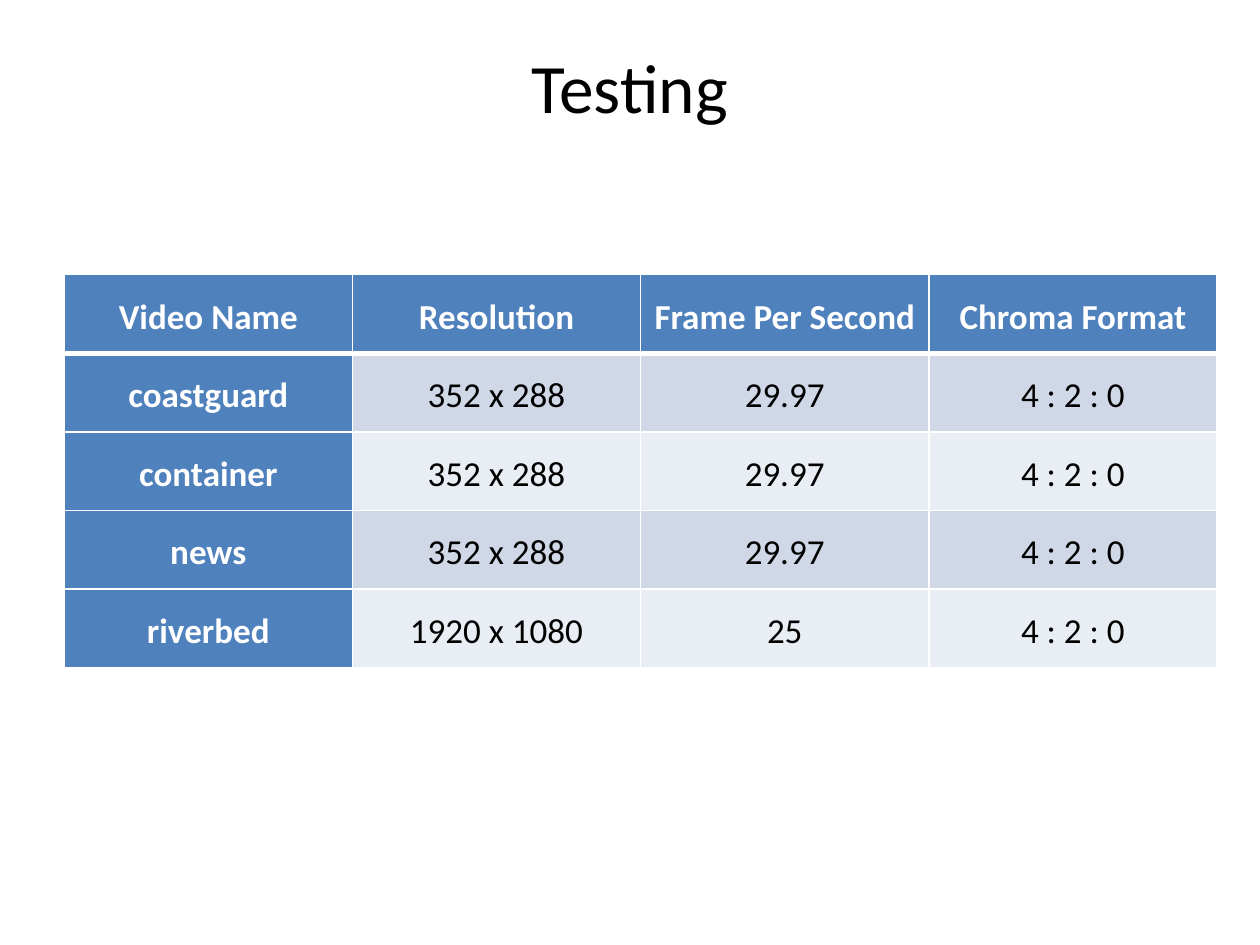
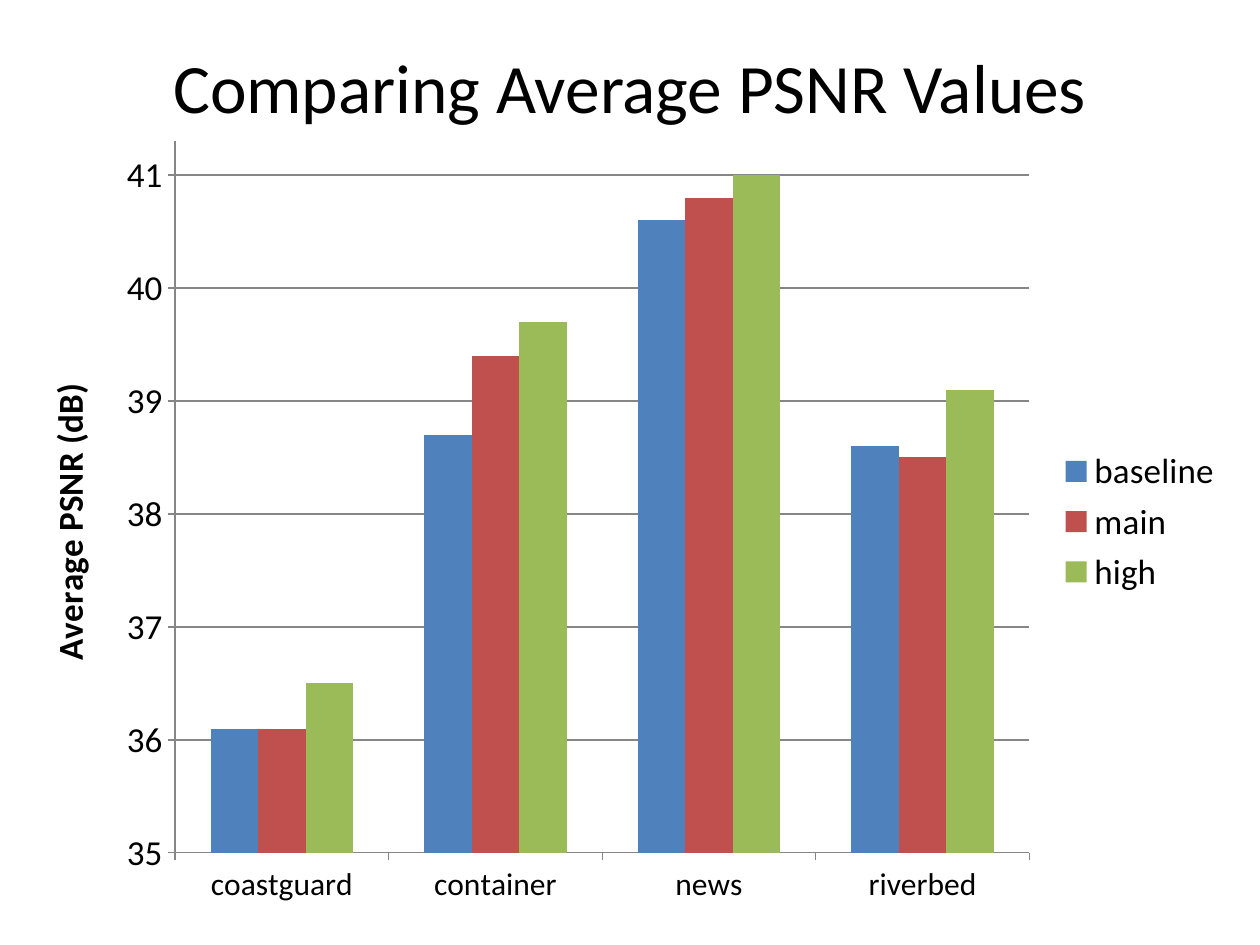
"""Builds two slides on video tests: the test clips and their average PSNR."""
from dataclasses import astuple, dataclass

from lxml import etree
from pptx import Presentation
from pptx.chart.data import CategoryChartData
from pptx.dml.color import RGBColor
from pptx.enum.chart import XL_CHART_TYPE, XL_LEGEND_POSITION, XL_TICK_MARK
from pptx.enum.text import MSO_ANCHOR, PP_ALIGN
from pptx.oxml import parse_xml
from pptx.oxml.ns import nsdecls, qn
from pptx.presentation import Presentation as Deck
from pptx.slide import Slide
from pptx.table import _Cell
from pptx.text.text import Font, _Paragraph
from pptx.util import Inches, Pt

CENTER = PP_ALIGN.CENTER
MIDDLE = MSO_ANCHOR.MIDDLE
CLUSTERED = XL_CHART_TYPE.COLUMN_CLUSTERED
LEGEND_RIGHT = XL_LEGEND_POSITION.RIGHT
TICK_OUTSIDE = XL_TICK_MARK.OUTSIDE

FONT_NAME = "Calibri"
COLORS = {
    "text": "000000",
    "white": "FFFFFF",
    "blue": "4F81BD",
    "red": "C0504D",
    "green": "9BBB59",
    "band_dark": "D0D8E8",
    "band_light": "E9EDF4",
    "axis": "868686",
}


@dataclass(frozen=True)
class Video:
    name: str
    resolution: str
    frame_rate: str
    chroma: str = "4 : 2 : 0"


@dataclass(frozen=True)
class Profile:
    name: str
    color: str
    psnr: tuple[float, ...]


HEADINGS = ("Video Name", "Resolution", "Frame Per Second", "Chroma Format")
VIDEOS = (
    Video("coastguard", "352 x 288", "29.97"),
    Video("container", "352 x 288", "29.97"),
    Video("news", "352 x 288", "29.97"),
    Video("riverbed", "1920 x 1080", "25"),
)
PROFILES = (
    Profile("baseline", "blue", (36.1, 38.7, 40.6, 38.6)),
    Profile("main", "red", (36.1, 39.4, 40.8, 38.5)),
    Profile("high", "green", (36.5, 39.7, 41, 39.1)),
)


def rgb(color: str) -> RGBColor:
    return RGBColor.from_string(COLORS[color])


def style_font(font: Font, size: float, color: str = "text", bold: bool = False) -> None:
    font.name = FONT_NAME
    font.size = Pt(size)
    font.bold = bold
    font.color.rgb = rgb(color)


def write(paragraph: _Paragraph, text: str, size: float, color: str = "text",
          bold: bool = False) -> None:
    paragraph.alignment = CENTER
    run = paragraph.add_run()
    run.text = text
    style_font(run.font, size, color, bold)


def add_titled_slide(deck: Deck, title: str) -> Slide:
    slide = deck.slides.add_slide(deck.slide_layouts[6])
    slide.background.fill.solid()
    slide.background.fill.fore_color.rgb = rgb("white")
    frame = slide.shapes.add_textbox(
        Inches(0.5), Inches(0.3), Inches(9), Inches(0.77)).text_frame
    frame.word_wrap = True
    frame.vertical_anchor = MIDDLE
    write(frame.paragraphs[0], title, 39.6)
    return slide


def set_borders(cell: _Cell, top: float, bottom: float) -> None:
    properties = cell._tc.get_or_add_tcPr()
    sides = (("lnL", 1), ("lnR", 1), ("lnT", top), ("lnB", bottom))
    for position, (side, width) in enumerate(sides):
        properties.insert(position, parse_xml(
            f'<a:{side} {nsdecls("a")} w="{Pt(width)}"><a:solidFill>'
            f'<a:srgbClr val="{COLORS["white"]}"/></a:solidFill></a:{side}>'))


def fill_cell(cell: _Cell, text: str, row: int, column: int) -> None:
    heading = row == 0 or column == 0
    band = "band_dark" if row % 2 else "band_light"
    cell.fill.solid()
    cell.fill.fore_color.rgb = rgb("blue" if heading else band)
    cell.vertical_anchor = MIDDLE
    cell.margin_left = cell.margin_right = Inches(0.07)
    cell.margin_top = cell.margin_bottom = 0
    paragraph = cell.text_frame.paragraphs[0]
    paragraph.line_spacing = 1.15
    write(paragraph, text, 20, "white" if heading else "text", heading)
    set_borders(cell, top=3 if row == 1 else 1, bottom=3 if row == 0 else 1)


def add_video_table(slide: Slide) -> None:
    rows = (HEADINGS, *map(astuple, VIDEOS))
    table = slide.shapes.add_table(
        len(rows), len(HEADINGS), Inches(0.51), Inches(2.18),
        Inches(9.15), Inches(3.12)).table
    for row, texts in enumerate(rows):
        for column, text in enumerate(texts):
            fill_cell(table.cell(row, column), text, row, column)


def add_psnr_chart(slide: Slide) -> None:
    data = CategoryChartData()
    data.categories = [video.name for video in VIDEOS]
    for profile in PROFILES:
        data.add_series(profile.name, profile.psnr)
    chart = slide.shapes.add_chart(
        CLUSTERED, Inches(0.2), Inches(0.99), Inches(9.61), Inches(6.3), data).chart
    chart.has_title = False
    style_font(chart.font, 10)

    plot = chart.plots[0]
    plot.gap_width = 150
    plot.overlap = 0
    plot.vary_by_categories = False
    for series, profile in zip(plot.series, PROFILES):
        series.format.fill.solid()
        series.format.fill.fore_color.rgb = rgb(profile.color)

    videos_axis, psnr_axis = chart.category_axis, chart.value_axis
    for axis, size in ((videos_axis, 18), (psnr_axis, 20)):
        axis.major_tick_mark = TICK_OUTSIDE
        axis.format.line.color.rgb = rgb("axis")
        style_font(axis.tick_labels.font, size)
    psnr_axis.minimum_scale = 35
    psnr_axis.maximum_scale = 41.3
    psnr_axis.major_unit = 1
    psnr_axis.tick_labels.number_format = "General"
    psnr_axis.tick_labels.number_format_is_linked = False
    psnr_axis.has_major_gridlines = True
    psnr_axis.major_gridlines.format.line.color.rgb = rgb("axis")
    write(psnr_axis.axis_title.text_frame.paragraphs[0], "Average PSNR (dB)", 20, bold=True)

    chart.has_legend = True
    chart.legend.position = LEGEND_RIGHT
    chart.legend.include_in_layout = False
    style_font(chart.legend.font, 20)

    plot_area = chart._chartSpace.chart.plotArea
    for layout in plot_area.findall(qn("c:layout")):
        plot_area.remove(layout)
    layout = etree.Element(qn("c:layout"))
    manual = etree.SubElement(layout, qn("c:manualLayout"))
    settings = {"layoutTarget": "inner", "xMode": "edge", "yMode": "edge",
                "x": 1.19 / 9.61, "y": 0.13 / 6.3, "w": 6.78 / 9.61, "h": 5.65 / 6.3}
    for tag, value in settings.items():
        etree.SubElement(manual, qn(f"c:{tag}"), val=str(value))
    plot_area.insert(0, layout)


def main() -> None:
    deck = Presentation()
    deck.slide_width, deck.slide_height = Inches(10), Inches(7.5)
    add_video_table(add_titled_slide(deck, "Testing"))
    add_psnr_chart(add_titled_slide(deck, "Comparing Average PSNR Values"))
    deck.save("out.pptx")


if __name__ == "__main__":
    main()
